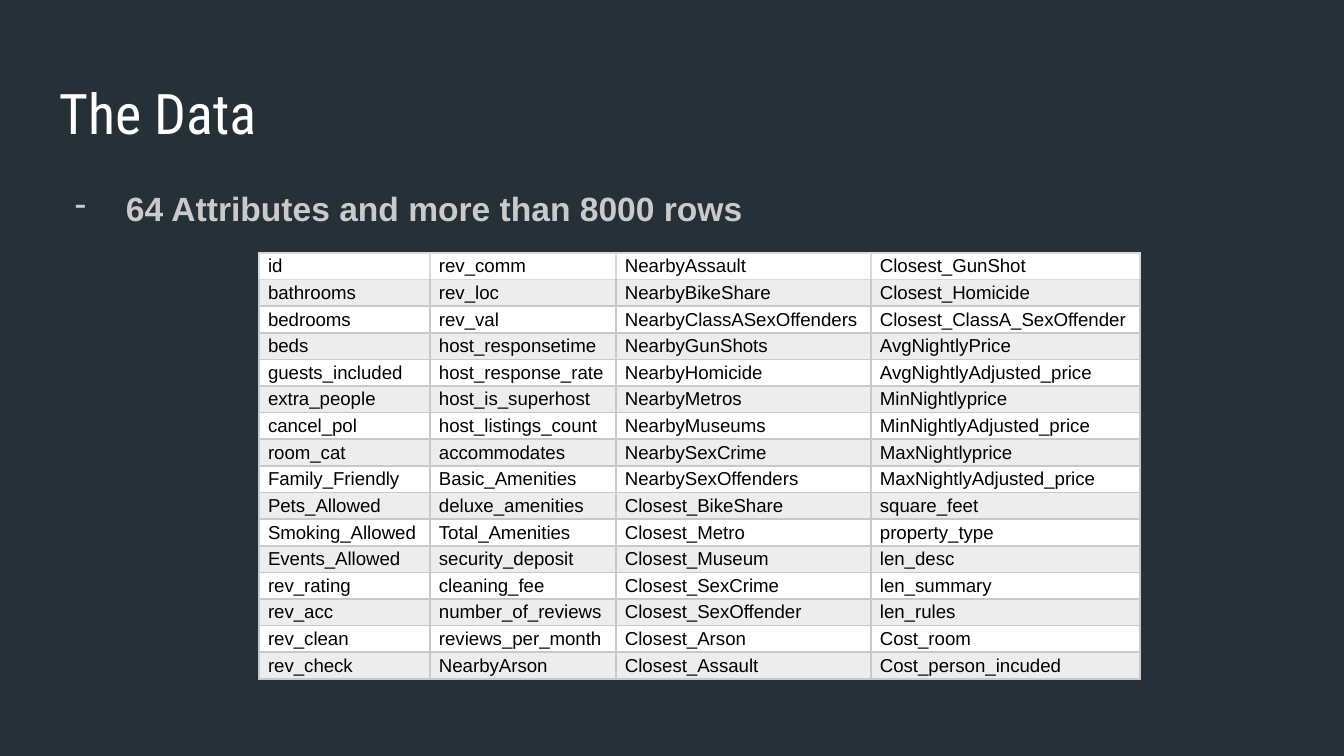
from lxml import etree
from pptx import Presentation
from pptx.dml.color import RGBColor
from pptx.oxml.ns import qn
from pptx.util import Emu, Pt

EMU_PER_PX = 9144000 / 1344
BLANK_LAYOUT = 6

BACKGROUND = RGBColor(0x26, 0x31, 0x37)
WHITE = RGBColor(0xFF, 0xFF, 0xFF)
BLACK = RGBColor(0x00, 0x00, 0x00)
BODY_GREY = RGBColor(0xCA, 0xCA, 0xCA)
BAND_GREY = RGBColor(0xED, 0xED, 0xED)
BORDER_GREY = RGBColor(0xC9, 0xC9, 0xC9)
TOP_BORDER_GREY = RGBColor(0xD9, 0xD9, 0xD9)

TITLE_FONT = "Roboto Condensed"
BODY_FONT = "Arial"
LINE_SPACING = 1.15

COLUMN_WIDTHS = (171, 186, 255, 269)
TABLE_HEIGHT = 426
ATTRIBUTE_ROWS = (
    ("id", "rev_comm", "NearbyAssault", "Closest_GunShot"),
    ("bathrooms", "rev_loc", "NearbyBikeShare", "Closest_Homicide"),
    ("bedrooms", "rev_val", "NearbyClassASexOffenders", "Closest_ClassA_SexOffender"),
    ("beds", "host_responsetime", "NearbyGunShots", "AvgNightlyPrice"),
    ("guests_included", "host_response_rate", "NearbyHomicide", "AvgNightlyAdjusted_price"),
    ("extra_people", "host_is_superhost", "NearbyMetros", "MinNightlyprice"),
    ("cancel_pol", "host_listings_count", "NearbyMuseums", "MinNightlyAdjusted_price"),
    ("room_cat", "accommodates", "NearbySexCrime", "MaxNightlyprice"),
    ("Family_Friendly", "Basic_Amenities", "NearbySexOffenders", "MaxNightlyAdjusted_price"),
    ("Pets_Allowed", "deluxe_amenities", "Closest_BikeShare", "square_feet"),
    ("Smoking_Allowed", "Total_Amenities", "Closest_Metro", "property_type"),
    ("Events_Allowed", "security_deposit", "Closest_Museum", "len_desc"),
    ("rev_rating", "cleaning_fee", "Closest_SexCrime", "len_summary"),
    ("rev_acc", "number_of_reviews", "Closest_SexOffender", "len_rules"),
    ("rev_clean", "reviews_per_month", "Closest_Arson", "Cost_room"),
    ("rev_check", "NearbyArson", "Closest_Assault", "Cost_person_incuded"),
)


def px(length):
    return Emu(round(length * EMU_PER_PX))


def set_font(paragraph, name, size, color, bold=False):
    font = paragraph.font
    font.name = name
    font.size = Pt(size)
    font.bold = bold
    font.color.rgb = color


def add_text(slide, text, left, top, width, height):
    """Add a text box with equal insets and return its paragraph."""
    box = slide.shapes.add_textbox(px(left), px(top), px(width), px(height))
    frame = box.text_frame
    frame.word_wrap = True
    frame.margin_left = frame.margin_right = px(13)
    frame.margin_top = frame.margin_bottom = px(13)
    paragraph = frame.paragraphs[0]
    paragraph.text = text
    return paragraph


def add_solid_color(parent, color):
    fill = etree.SubElement(parent, qn("a:solidFill"))
    etree.SubElement(fill, qn("a:srgbClr"), val=str(color))


def add_dash_bullet(paragraph, color, left_margin, indent):
    properties = paragraph._p.get_or_add_pPr()
    properties.set("marL", str(px(left_margin)))
    properties.set("indent", str(px(indent)))
    bullet_color = etree.SubElement(properties, qn("a:buClr"))
    etree.SubElement(bullet_color, qn("a:srgbClr"), val=str(color))
    etree.SubElement(properties, qn("a:buChar"), char="-")


def add_borders(cell, colors):
    """Draw 1 pt borders from a mapping of side tag to colour."""
    properties = cell._tc.get_or_add_tcPr()
    for side, color in colors.items():
        line = etree.SubElement(properties, qn(f"a:{side}"), w=str(Pt(1)))
        add_solid_color(line, color)


def border_colors(row_index):
    """The first row has lighter borders, shared with the row below."""
    side = TOP_BORDER_GREY if row_index == 0 else BORDER_GREY
    top = TOP_BORDER_GREY if row_index <= 1 else BORDER_GREY
    return {"lnL": side, "lnR": side, "lnT": top, "lnB": side}


def fill_cell(cell, text, row_index):
    cell.margin_left = cell.margin_right = px(9)
    cell.margin_top = cell.margin_bottom = 0
    add_borders(cell, border_colors(row_index))
    cell.fill.solid()
    cell.fill.fore_color.rgb = BAND_GREY if row_index % 2 else WHITE
    paragraph = cell.text_frame.paragraphs[0]
    paragraph.text = text
    paragraph.line_spacing = LINE_SPACING
    set_font(paragraph, BODY_FONT, 10, BLACK)


def add_attribute_table(slide, left, top):
    frame = slide.shapes.add_table(
        len(ATTRIBUTE_ROWS), len(COLUMN_WIDTHS),
        px(left), px(top), px(sum(COLUMN_WIDTHS)), px(TABLE_HEIGHT))
    table = frame.table
    table.first_row = False
    table.horz_banding = False
    for column, width in zip(table.columns, COLUMN_WIDTHS):
        column.width = px(width)
    for row_index, (row, texts) in enumerate(zip(table.rows, ATTRIBUTE_ROWS)):
        row.height = px(TABLE_HEIGHT / len(ATTRIBUTE_ROWS))
        for cell, text in zip(row.cells, texts):
            fill_cell(cell, text, row_index)


def main():
    presentation = Presentation()
    presentation.slide_width = px(1344)
    presentation.slide_height = px(756)
    slide = presentation.slides.add_slide(presentation.slide_layouts[BLANK_LAYOUT])
    slide.background.fill.solid()
    slide.background.fill.fore_color.rgb = BACKGROUND

    title = add_text(slide, "The Data", 46, 66, 1252, 84)
    set_font(title, TITLE_FONT, 30, WHITE)

    summary = add_text(slide, "64 Attributes and more than 8000 rows", 46, 169, 1171, 98)
    summary.line_spacing = LINE_SPACING
    add_dash_bullet(summary, BODY_GREY, left_margin=67, indent=-51)
    set_font(summary, BODY_FONT, 18, BODY_GREY, bold=True)

    add_attribute_table(slide, 259, 253)
    presentation.save("out.pptx")


if __name__ == "__main__":
    main()
